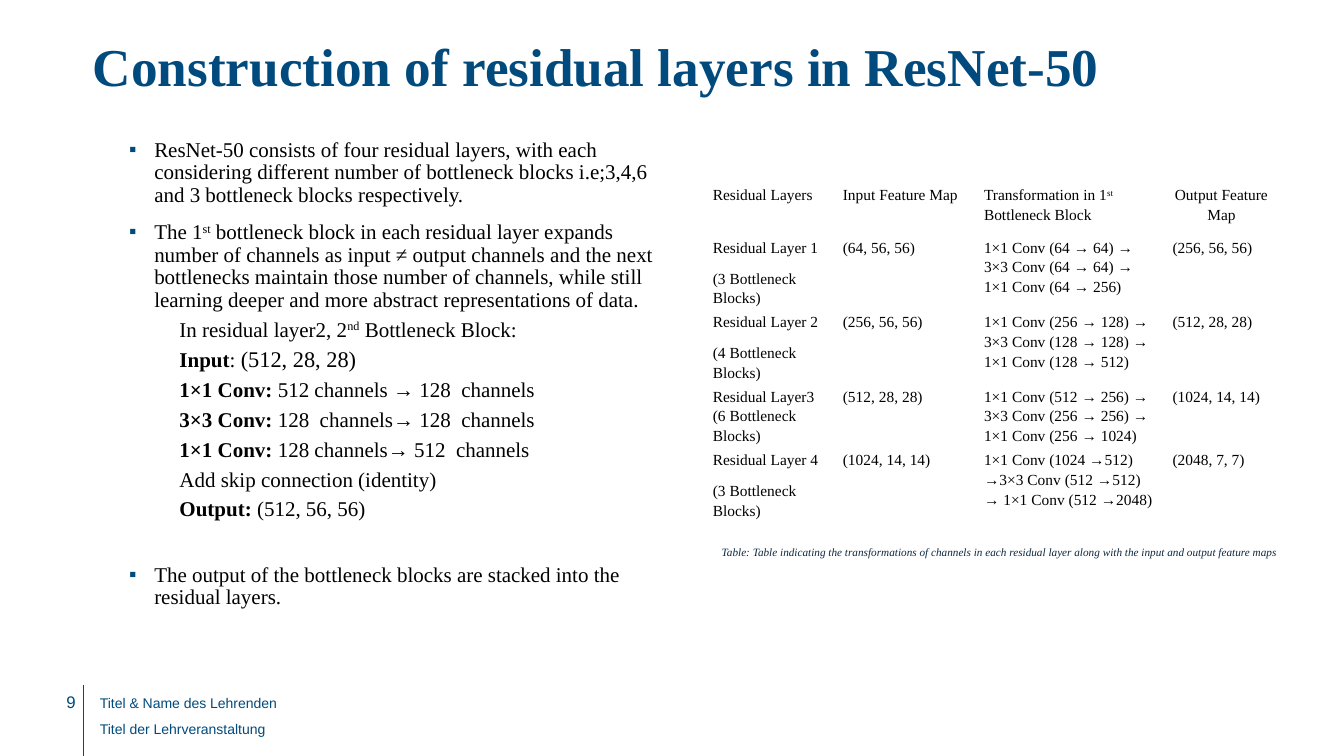
from lxml.etree import SubElement
from pptx import Presentation
from pptx.dml.color import RGBColor
from pptx.enum.shapes import MSO_CONNECTOR as Connector
from pptx.enum.text import MSO_ANCHOR as Anchor, MSO_AUTO_SIZE as AutoSize, PP_ALIGN as Align
from pptx.oxml.ns import qn
from pptx.util import Inches, Pt

NAVY = RGBColor(0x00, 0x4A, 0x7D)
INK = RGBColor(0x0E, 0x28, 0x41)
BLACK = RGBColor(0, 0, 0)
SERIF, SANS = "Times New Roman", "Arial"

# Runs are (text, style) pairs; paragraphs are (level, space before, runs)
BODY = [
    (0, 0, [("ResNet-50 consists of four residual layers, with each considering different "
             "number of bottleneck blocks i.e;3,4,6 and 3 bottleneck blocks respectively.", {})]),
    (0, 10, [("The 1", {}), ("st", {"superscript": True}),
             (" bottleneck block in each residual layer expands number of channels as "
              "input ≠ output channels and the next bottlenecks maintain those number of "
              "channels, while still learning deeper and more abstract representations "
              "of data.", {})]),
    (1, 5, [("In residual layer2, 2", {}), ("nd", {"superscript": True}),
            (" Bottleneck Block:", {})]),
    (1, 5, [("Input", {"bold": True}), (": ", {}), ("(512, 28, 28)", {"size": 16})]),
    (1, 5, [("1×1 Conv: ", {"bold": True}), ("512 channels → 128  channels", {})]),
    (1, 5, [("3×3 Conv: ", {"bold": True}), ("128  channels→ 128  channels", {})]),
    (1, 5, [("1×1 Conv: ", {"bold": True}), ("128 channels→ 512  channels", {})]),
    (1, 5, [("Add skip connection (identity)", {})]),
    (1, 5, [("Output: ", {"bold": True}), ("(512, 56, 56)", {})]),
    (0, 30.5, [("The output of the bottleneck blocks are stacked into the "
                "residual layers.", {})]),
]

# Each cell is a list of paragraphs, each paragraph a list of runs
HEADER = [
    [[("Residual Layers", {})]],
    [[("Input Feature Map", {})]],
    [[("Transformation in 1", {}), ("st", {"superscript": True}), (" Bottleneck Block", {})]],
    [[("Output Feature Map", {})]],
]
LAYERS = [
    (["Residual Layer 1", "(3 Bottleneck Blocks)"], "(64, 56, 56)",
     "1×1 Conv (64 → 64) → 3×3 Conv (64 → 64) → 1×1 Conv (64 → 256)", "(256, 56, 56)"),
    (["Residual Layer 2", "(4 Bottleneck Blocks)"], "(256, 56, 56)",
     "1×1 Conv (256 → 128) → 3×3 Conv (128 → 128) → 1×1 Conv (128 → 512)", "(512, 28, 28)"),
    (["Residual Layer3 (6 Bottleneck Blocks)"], "(512, 28, 28)",
     "1×1 Conv (512 → 256) → 3×3 Conv (256 → 256) → 1×1 Conv (256 → 1024)", "(1024, 14, 14)"),
    (["Residual Layer 4", "(3 Bottleneck Blocks)"], "(1024, 14, 14)",
     "1×1 Conv (1024 →512) →3×3 Conv (512 →512) → 1×1 Conv (512 →2048)", "(2048, 7, 7)"),
]
COLUMN_WIDTHS = [1.29, 1.4, 1.87, 1.11]
ROW_HEIGHTS = [0.52, 0.74, 0.74, 0.63, 0.74]


class SlideBuilder:
    """Holds the current slide and draws its elements."""

    def __init__(self, deck):
        self.slide = deck.slides.add_slide(deck.slide_layouts[1])

    def place(self, shape, left, top, width, height):
        shape.left, shape.top = Inches(left), Inches(top)
        shape.width, shape.height = Inches(width), Inches(height)

    def frame(self, shape, insets):
        frame = shape.text_frame
        frame.word_wrap = True
        frame.auto_size = AutoSize.NONE
        frame.vertical_anchor = Anchor.TOP
        (frame.margin_left, frame.margin_top,
         frame.margin_right, frame.margin_bottom) = map(Inches, insets)
        return frame

    def paragraph(self, frame, index, spacing=1.0, before=0, align=Align.LEFT):
        para = frame.add_paragraph() if index else frame.paragraphs[0]
        para.line_spacing = spacing
        para.space_before, para.space_after = Pt(before), Pt(0)
        para.alignment = align
        return para

    def run(self, para, text, size, font=SERIF, color=BLACK, bold=False, italic=False,
            superscript=False):
        run = para.add_run()
        run.text = text
        run.font.name, run.font.size = font, Pt(size)
        run.font.bold, run.font.italic = bold, italic
        run.font.color.rgb = color
        if superscript:
            run.font._element.set("baseline", "30000")

    def bullet(self, para, level):
        props = para._p.get_or_add_pPr()
        props.set("marL", str(Inches(0.5 if level else 0.25)))
        props.set("indent", str(0 if level else Inches(-0.25)))
        if level:
            SubElement(props, qn("a:buNone"))
            return
        SubElement(SubElement(props, qn("a:buClr")), qn("a:srgbClr")).set("val", str(NAVY))
        SubElement(props, qn("a:buFont")).set("typeface", SANS)
        SubElement(props, qn("a:buChar")).set("char", "▪")

    def title(self, text, *box):
        title = self.slide.shapes.title
        self.place(title, *box)
        para = self.paragraph(self.frame(title, (0, 0, 0.1, 0.05)), 0, 0.9)
        self.run(para, text, 38, color=NAVY, bold=True)

    def body(self, paragraphs, *box):
        body = self.slide.placeholders[1]
        self.place(body, *box)
        frame = self.frame(body, (0.1, 0.05, 0.1, 0.05))
        for index, (level, before, runs) in enumerate(paragraphs):
            para = self.paragraph(frame, index, 0.9, before)
            para.level = level
            self.bullet(para, level)
            for text, style in runs:
                self.run(para, text, **{"size": 15, **style})

    def text(self, lines, *box, insets=(0, 0, 0, 0.05), spacing=1.0, align=Align.LEFT, **style):
        frame = self.frame(self.slide.shapes.add_textbox(*map(Inches, box)), insets)
        for index, line in enumerate(lines):
            self.run(self.paragraph(frame, index, spacing, align=align), line, **style)

    def line(self, *ends):
        line = self.slide.shapes.add_connector(Connector.STRAIGHT, *map(Inches, ends))
        line.line.color.rgb, line.line.width = NAVY, Pt(0.75)
        SubElement(line._element.spPr, qn("a:effectLst"))

    def table(self, rows, left, top):
        size = sum(COLUMN_WIDTHS), sum(ROW_HEIGHTS)
        table = self.slide.shapes.add_table(
            len(rows), len(COLUMN_WIDTHS), *map(Inches, (left, top, *size))).table
        table.first_row = table.horz_banding = False
        for column, width in zip(table.columns, COLUMN_WIDTHS):
            column.width = Inches(width)
        for row, height, contents in zip(table.rows, ROW_HEIGHTS, rows):
            row.height = Inches(height)
            for cell, paragraphs in zip(row.cells, contents):
                self.cell(cell, paragraphs)
        table.cell(0, 3).text_frame.paragraphs[0].alignment = Align.CENTER

    def cell(self, cell, paragraphs):
        cell.fill.background()
        cell.margin_left = cell.margin_right = Inches(0.07)
        cell.margin_top = cell.margin_bottom = 0
        for index, runs in enumerate(paragraphs):
            para = self.paragraph(cell.text_frame, index, 1.15, 8 if index else 0)
            for text, style in runs:
                self.run(para, text, 11, **style)


def main():
    deck = Presentation()
    deck.slide_width, deck.slide_height = Inches(13.33), Inches(7.5)
    builder = SlideBuilder(deck)

    # Footer
    builder.line(0.83, 7.5, 0.83, 6.8)
    builder.text(["9"], 0.21, 6.86, 0.54, 0.4, align=Align.RIGHT,
                 size=12, font=SANS, color=NAVY)
    builder.text(["Titel & Name des Lehrenden", "Titel der Lehrveranstaltung"],
                 0.99, 6.81, 7.51, 0.58, spacing=1.5, size=10, font=SANS, color=NAVY)

    # Title and explanation
    builder.title("Construction of residual layers in ResNet-50", 0.92, 0.4, 11.5, 0.93)
    builder.body(BODY, 1.18, 1.33, 5.67, 5.15)

    # Table of layers with its caption
    layers = [[[[(line, {})] for line in name]] + [[[(value, {})]] for value in values]
              for name, *values in LAYERS]
    builder.table([HEADER, *layers], 7, 1.83)
    builder.text(["Table: Table indicating the transformations of channels in each residual "
                  "layer along with the input and output feature maps"],
                 7.06, 5.36, 5.84, 0.24, insets=(0.1, 0.05, 0.1, 0.05),
                 size=8, color=INK, italic=True)

    deck.save("out.pptx")


if __name__ == "__main__":
    main()
